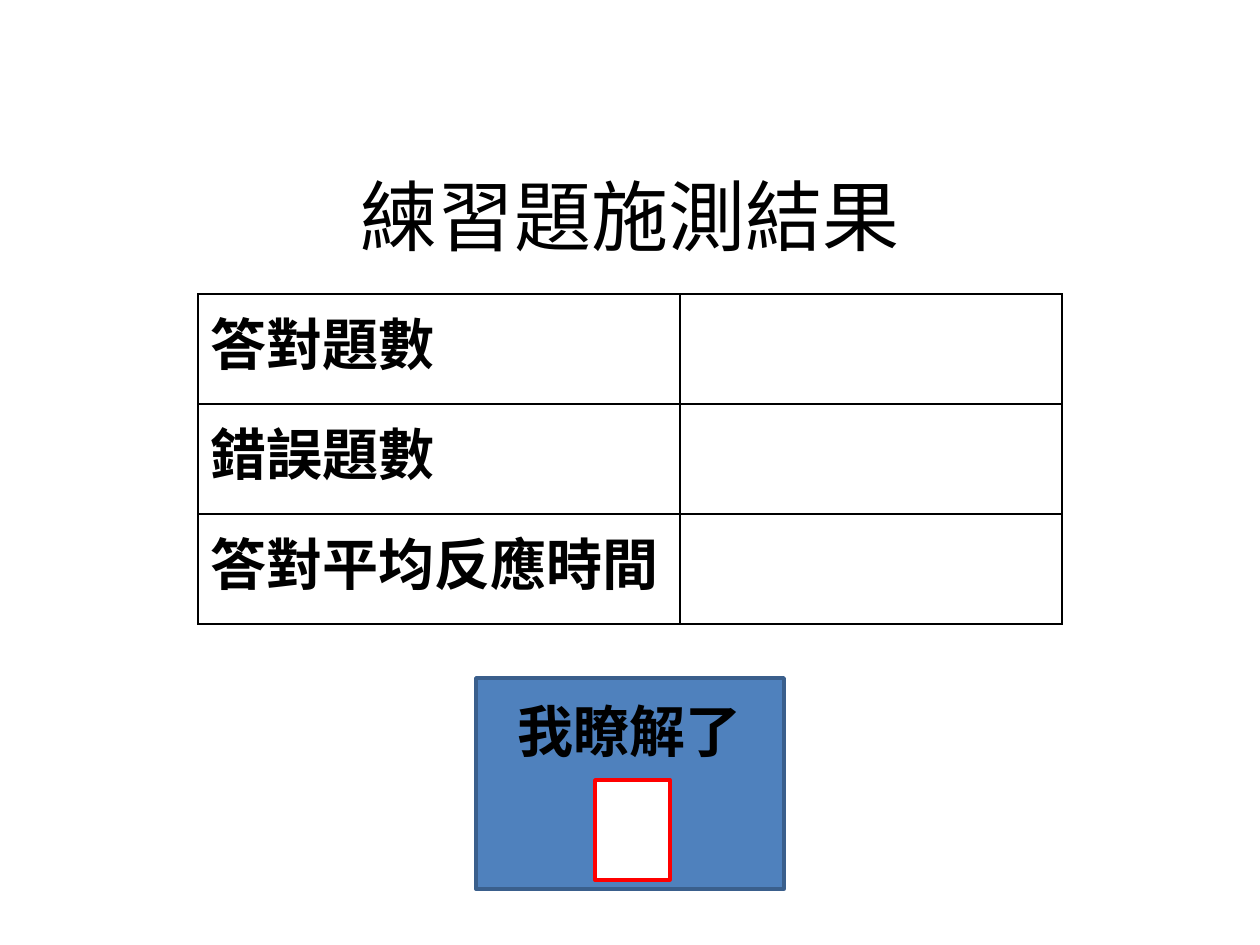
from lxml import etree
from pptx import Presentation
from pptx.dml.color import RGBColor
from pptx.enum.shapes import MSO_SHAPE
from pptx.enum.text import MSO_ANCHOR, PP_ALIGN
from pptx.oxml.ns import qn
from pptx.util import Emu, Pt

RECT = MSO_SHAPE.RECTANGLE
TOP, MIDDLE = MSO_ANCHOR.TOP, MSO_ANCHOR.MIDDLE
LEFT, CENTER = PP_ALIGN.LEFT, PP_ALIGN.CENTER
BLACK = RGBColor(0, 0, 0)
WHITE = RGBColor(255, 255, 255)
BLUE = RGBColor(0x4F, 0x81, 0xBD)
NAVY = RGBColor(0x3A, 0x5F, 0x8C)
RED = RGBColor(255, 0, 0)
SCALE = 914400 / 126


def px(n):
    """Turn px into EMU."""
    return Emu(round(n * SCALE))


class Deck:
    """Holds the style and the current slide."""

    latin = "Calibri"
    asian = "Noto Sans CJK SC"

    def __init__(self, wide, high):
        """Open a deck with one blank slide."""
        self.prs = Presentation()
        self.prs.slide_width, self.prs.slide_height = px(wide), px(high)
        self.slide = self.prs.slides.add_slide(self.prs.slide_layouts[6])

    def label(self, frame, text, size, bold=False, align=LEFT, face=latin):
        """Put one styled line into a text frame."""
        para = frame.paragraphs[0]
        para.alignment = align
        run = para.add_run()
        run.text = text
        style = {"size": Pt(size), "bold": bold, "name": face}
        for key, value in style.items():
            setattr(run.font, key, value)
        run.font.color.rgb = BLACK
        asian = etree.SubElement(run._r.get_or_add_rPr(), qn("a:ea"))
        asian.set("typeface", self.asian)
        run.font.name = face

    def title(self, box, text):
        """Add the centred heading."""
        frame = self.slide.shapes.add_textbox(*map(px, box)).text_frame
        frame.word_wrap = True
        frame.vertical_anchor = MIDDLE
        self.label(frame, text, 44, align=CENTER)

    def edge(self, cell):
        """Draw thin black borders on a cell."""
        props = cell._tc.get_or_add_tcPr()
        for i, side in enumerate(("lnL", "lnR", "lnT", "lnB")):
            line = etree.Element(qn("a:" + side), w=str(int(Pt(1))))
            fill = etree.SubElement(line, qn("a:solidFill"))
            etree.SubElement(fill, qn("a:srgbClr"), val=str(BLACK))
            props.insert(i, line)

    def table(self, left, top, cols, high, names):
        """Add a table with row names and empty value cells."""
        box = left, top, sum(cols), high * len(names)
        table = self.slide.shapes.add_table(
            len(names), len(cols), *map(px, box)).table
        for col, wide in zip(table.columns, cols):
            col.width = px(wide)
        for row, name in zip(table.rows, names):
            row.height = px(high)
            for cell in row.cells:
                cell.fill.background()
                self.edge(cell)
            self.label(row.cells[0].text_frame, name, 32, bold=True)

    def rect(self, group, box, fill, line):
        """Add an outlined rectangle to a group."""
        shape = group.shapes.add_shape(RECT, *map(px, box))
        shape.shadow.inherit = False
        shape.fill.solid()
        shape.fill.fore_color.rgb = fill
        shape.line.color.rgb = line
        shape.line.width = Pt(2)
        return shape

    def button(self, box, mark, text):
        """Add a labelled button with a tick box."""
        group = self.slide.shapes.add_group_shape()
        frame = self.rect(group, box, BLUE, NAVY).text_frame
        style = {"word_wrap": True, "vertical_anchor": TOP,
                 "margin_top": px(18)}
        for key, value in style.items():
            setattr(frame, key, value)
        self.label(frame, text, 32, True, CENTER, self.asian)
        self.rect(group, mark, WHITE, RED)


def main():
    """Build the result slide."""
    deck = Deck(1260, 945)
    deck.title((63, 136, 1134, 158), "練習題施測結果")
    names = "答對題數", "錯誤題數", "答對平均反應時間"
    deck.table(198, 294, (482, 382), 110, names)
    deck.button((476, 678, 308, 211), (595, 780, 75, 100), "我瞭解了")
    deck.prs.save("out.pptx")


if __name__ == "__main__":
    main()
